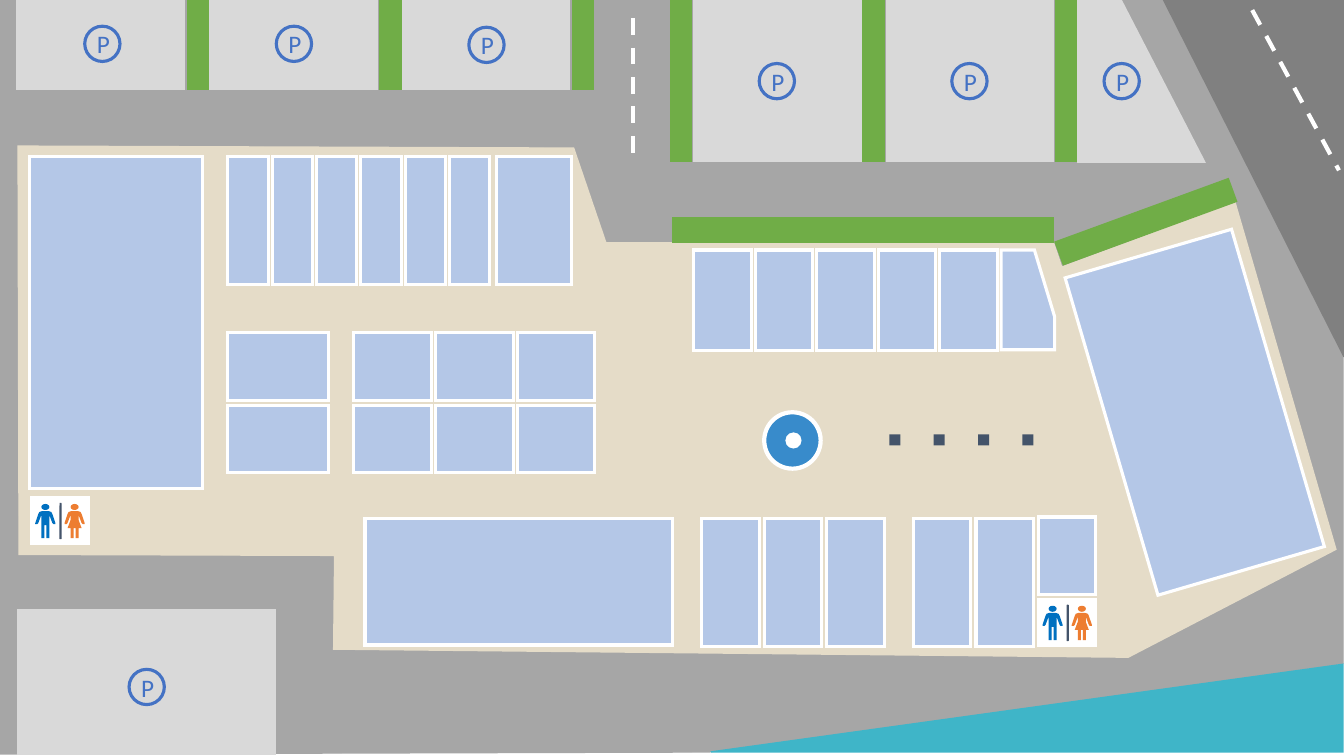
import pptx
import pptx.dml.color
import pptx.enum.dml
import pptx.enum.shapes
import pptx.enum.text
import pptx.oxml.ns
import pptx.util
from lxml import etree

Inches = pptx.util.Inches
Pt = pptx.util.Pt
RGBColor = pptx.dml.color.RGBColor
Kind = pptx.enum.shapes.MSO_SHAPE

ASPHALT = RGBColor(0xA6, 0xA6, 0xA6)
ROAD = RGBColor(0x80, 0x80, 0x80)
LOT = RGBColor(0xD9, 0xD9, 0xD9)
HEDGE = RGBColor(0x70, 0xAD, 0x47)
PAVING = RGBColor(0xE5, 0xDC, 0xC8)
WATER = RGBColor(0x3F, 0xB5, 0xC8)
SHOP = RGBColor(0xB4, 0xC7, 0xE7)
WHITE = RGBColor(0xFF, 0xFF, 0xFF)
BADGE = RGBColor(0x44, 0x72, 0xC4)
FOUNTAIN = RGBColor(0x38, 0x8B, 0xCB)
SLATE = RGBColor(0x44, 0x54, 0x6A)
MAN = RGBColor(0x00, 0x70, 0xC0)
WOMAN = RGBColor(0xED, 0x7D, 0x31)

ARM = [(0.03, 0), (0.06, 0.01), (0.07, 0.03), (0.1, 0.12), (0.1, 0.13),
       (0.08, 0.13), (0.07, 0.12), (0.04, 0.04)]
TROUSERS = [(0.04, 0.27), (0.01, 0.27), (0.01, 0.14)]
DRESS = [(0.04, 0.09), (0.07, 0.17), (0.04, 0.17), (0.04, 0.27), (0.01, 0.27), (0.01, 0.17)]


class SitePlan:
    font_name = "Calibri"

    def __init__(self, slide):
        self.slide = slide
        self.shapes = slide.shapes

    def paint(self, shape, fill, line, width):
        shape.shadow.inherit = False
        shape.fill.solid()
        shape.fill.fore_color.rgb = fill
        if line is None:
            shape.line.fill.background()
            return
        shape.line.color.rgb = line
        shape.line.width = Pt(width)
        outline = shape.line._get_or_add_ln()
        etree.SubElement(outline, pptx.oxml.ns.qn("a:miter"), lim="800000")

    def block(self, left, top, width, height, fill, line=None, weight=1,
              kind=Kind.RECTANGLE, rotation=0):
        shape = self.shapes.add_shape(
            kind, Inches(left), Inches(top), Inches(width), Inches(height))
        shape.rotation = rotation
        self.paint(shape, fill, line, weight)
        return shape

    def area(self, points, fill, line=None, weight=1):
        corners = [(Inches(x), Inches(y)) for x, y in points]
        builder = self.shapes.build_freeform(*corners[0])
        builder.add_line_segments(corners[1:], close=True)
        self.paint(builder.convert_to_shape(), fill, line, weight)

    def ground(self, left, top, width, height, color, rotation=0):
        self.block(left, top, width, height, color, color, rotation=rotation)

    def shop(self, left, top, width, height, rotation=0):
        self.block(left, top, width, height, SHOP, WHITE, 2.25, rotation=rotation)

    def shop_row(self, count, pitch, left, top, width, height):
        for index in range(count):
            self.shop(left + index * pitch, top, width, height)

    def road_marking(self, x1, y1, x2, y2):
        connector = self.shapes.add_connector(
            pptx.enum.shapes.MSO_CONNECTOR.STRAIGHT,
            Inches(x1), Inches(y1), Inches(x2), Inches(y2))
        connector.line.color.rgb = WHITE
        connector.line.width = Pt(3)
        connector.line.dash_style = pptx.enum.dml.MSO_LINE.DASH
        properties = connector._element.spPr
        etree.SubElement(properties, pptx.oxml.ns.qn("a:effectLst"))

    def parking_badge(self, left, top):
        shape = self.block(left, top, 0.35, 0.35, LOT, BADGE, 2.25, Kind.OVAL)
        frame = shape.text_frame
        frame.margin_left = Inches(0.02)
        frame.margin_top = frame.margin_right = frame.margin_bottom = 0
        frame.vertical_anchor = pptx.enum.text.MSO_ANCHOR.MIDDLE
        paragraph = frame.paragraphs[0]
        paragraph.text = "P"
        paragraph.alignment = pptx.enum.text.PP_ALIGN.CENTER
        paragraph.font.name = self.font_name
        paragraph.font.size = Pt(18)
        paragraph.font.color.rgb = BADGE

    def person(self, center, top, lower_body, color):
        self.block(center - 0.04, top, 0.08, 0.06, color, kind=Kind.OVAL)
        half = ARM + lower_body
        right = [(center + x, top + 0.07 + y) for x, y in half]
        left = [(center - x, top + 0.07 + y) for x, y in reversed(half)]
        self.area(right + left, color)

    def restroom(self, left, top):
        self.block(left, top, 0.57, 0.45, WHITE, WHITE, 2.25)
        self.person(left + 0.14, top + 0.06, TROUSERS, MAN)
        self.person(left + 0.43, top + 0.06, DRESS, WOMAN)
        self.block(left + 0.28, top + 0.05, 0.02, 0.36, SLATE, kind=Kind.ROUNDED_RECTANGLE)


def draw_surroundings(plan):
    plan.area([(0, 0), (0, 7.48), (7.03, 7.46), (13.32, 6.58), (13.32, 3.54), (11.53, 0)],
              ASPHALT, ASPHALT)
    plan.area([(11.54, 0), (13.33, 3.54), (13.33, 0)], ROAD, ROAD)
    lot_pitch = 1.91
    for first_lot, first_hedge, lots, height in ((0.17, 1.86, 3, 0.9), (6.88, 6.65, 2, 1.61)):
        for index in range(lots):
            plan.ground(first_lot + index * lot_pitch, 0, 1.66, height - 0.01, LOT)
        for index in range(3):
            plan.ground(first_hedge + index * lot_pitch, 0, 0.21, height - 0.01, HEDGE)
    plan.area([(10.69, 0), (11.12, 0), (11.95, 1.61), (10.69, 1.61)], LOT, LOT)
    plan.area([(0.18, 1.45), (0.19, 5.5), (3.32, 5.51), (3.31, 6.44), (11.19, 6.52),
               (13.25, 5.45), (12.25, 2.01), (10.53, 2.65), (10.45, 2.41), (6.01, 2.41),
               (5.69, 1.47)], PAVING, PAVING)
    plan.road_marking(12.42, 0.1, 13.28, 1.69)
    plan.area([(7.05, 7.46), (13.32, 6.59), (13.32, 7.46)], WATER, WATER)
    plan.road_marking(6.28, 0.18, 6.28, 1.6)
    plan.ground(0.18, 6.05, 2.55, 1.43, LOT)
    plan.ground(6.67, 2.16, 3.78, 0.24, HEDGE)
    plan.ground(10.45, 2.08, 1.83, 0.24, HEDGE, 339.9)
    for left, top in ((1.28, 6.64), (0.84, 0.26), (2.74, 0.26), (4.65, 0.27),
                      (7.53, 0.63), (9.44, 0.63), (10.95, 0.63)):
        plan.parking_badge(left, top)


def draw_shops(plan):
    plan.shop(0.29, 1.55, 1.72, 3.3)
    plan.shop_row(6, 0.44, 2.26, 1.55, 0.4, 1.27)
    plan.shop(4.92, 1.55, 0.75, 1.27)
    for top in (3.3, 4.02):
        plan.shop(2.26, top, 1, 0.67)
        plan.shop_row(3, 0.81, 3.51, top, 0.77, 0.67)
    plan.shop(3.62, 5.14, 3.05, 1.26)
    plan.shop_row(3, 0.62, 6.96, 5.14, 0.57, 1.27)
    plan.shop_row(2, 0.62, 9.06, 5.14, 0.57, 1.27)
    plan.shop(10.3, 5.13, 0.57, 0.77)
    plan.shop(10.99, 2.45, 1.72, 3.28, 343.7)
    plan.shop_row(5, 0.61, 6.88, 2.48, 0.57, 1)
    plan.area([(9.93, 2.48), (10.26, 2.48), (10.46, 3.14), (10.46, 3.47), (9.93, 3.47)],
              SHOP, WHITE, 2.25)


def draw_plaza(plan):
    plan.block(7.58, 4.09, 0.56, 0.56, FOUNTAIN, WHITE, 3, Kind.OVAL)
    plan.block(7.79, 4.29, 0.16, 0.16, WHITE, kind=Kind.OVAL)
    for index in range(4):
        plan.block(8.82 + index * 0.44, 4.31, 0.11, 0.11, SLATE)
    plan.restroom(10.3, 5.95)
    plan.restroom(0.31, 4.94)


def main():
    presentation = pptx.Presentation()
    presentation.slide_width = Inches(13.33)
    presentation.slide_height = Inches(7.5)
    plan = SitePlan(presentation.slides.add_slide(presentation.slide_layouts[6]))
    draw_surroundings(plan)
    draw_shops(plan)
    draw_plaza(plan)
    presentation.save("out.pptx")


if __name__ == "__main__":
    main()
